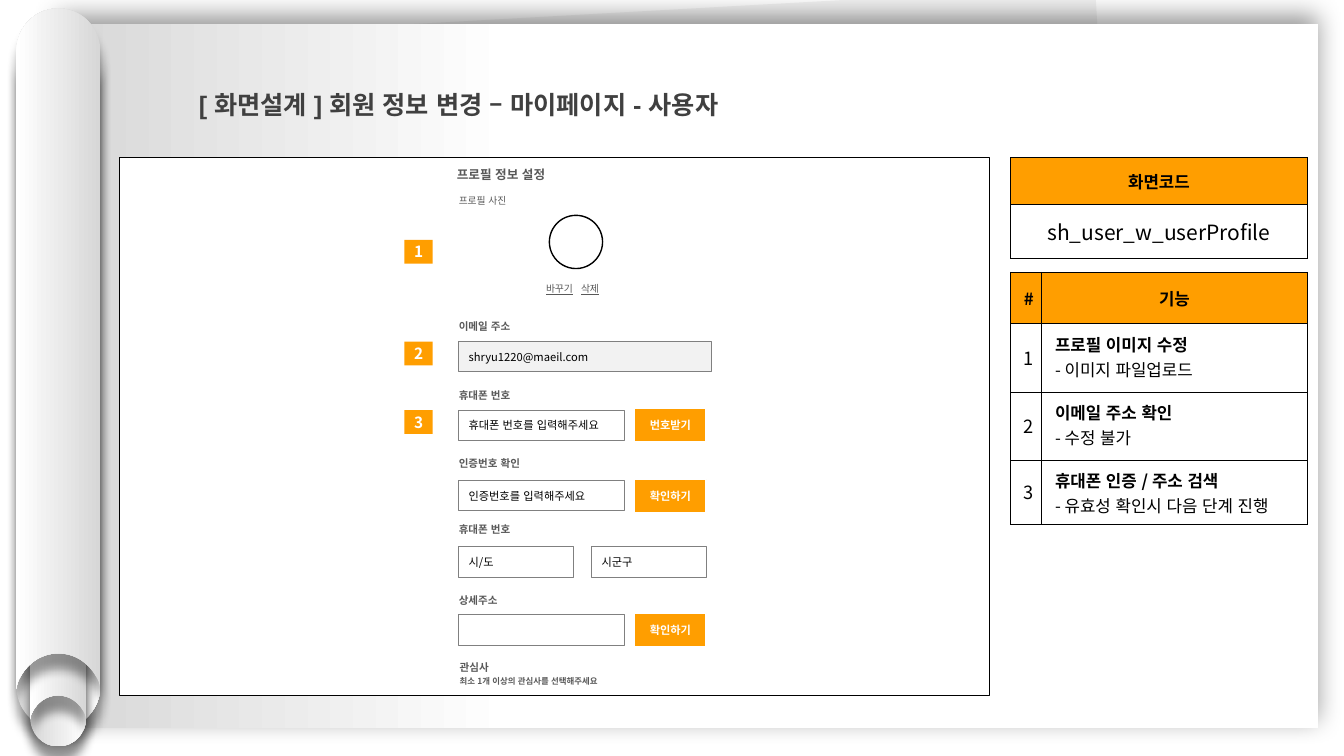
from lxml import etree
from pptx import Presentation
from pptx.dml.color import RGBColor
from pptx.enum.lang import MSO_LANGUAGE_ID
from pptx.enum.shapes import MSO_SHAPE
from pptx.enum.text import MSO_ANCHOR, PP_ALIGN
from pptx.oxml.ns import qn
from pptx.util import Pt

RECT, OVAL = MSO_SHAPE.RECTANGLE, MSO_SHAPE.OVAL
LEFT, CENTER = PP_ALIGN.LEFT, PP_ALIGN.CENTER
TOP, MIDDLE = MSO_ANCHOR.TOP, MSO_ANCHOR.MIDDLE
KOREAN = MSO_LANGUAGE_ID.KOREAN
FONT = "Noto Sans CJK KR"
ORANGE, WHITE, BLACK = "FF9E00", "FFFFFF", "000000"
GRAY, PALE, EDGE, SHADE = "595959", "F2F2F2", "808080", "D7D7D7"


def color(value):
    return RGBColor.from_string(value)


def sub(parent, tag, **attrs):
    return etree.SubElement(parent, qn(tag), {k: str(v) for k, v in attrs.items()})


def style(p, size, ink, bold=False, align=LEFT, font=FONT):
    p.alignment = align
    f = p.font
    f.size, f.bold, f.name = Pt(size), bold, font
    f.color.rgb = color(ink)
    sub(p._p.pPr.find(qn("a:defRPr")), "a:ea", typeface=FONT)
    for r in p.runs:
        r.font.language_id = KOREAN


def add_box(s, x, y, w, h, fill=WHITE, line=None, weight=1, kind=RECT):
    sp = s.shapes.add_shape(kind, Pt(x), Pt(y), Pt(w), Pt(h))
    sp.shadow.inherit = False
    sp.fill.solid()
    sp.fill.fore_color.rgb = color(fill)
    if line:
        sp.line.color.rgb = color(line)
        sp.line.width = Pt(weight)
    else:
        sp.line.fill.background()
    return sp


def write(sp, text, size, ink, bold=False, align=LEFT):
    tf = sp.text_frame
    tf.vertical_anchor = MIDDLE
    p = tf.paragraphs[0]
    p.text = text
    style(p, size, ink, bold, align)


def add_label(s, x, y, text, size=7.5, bold=True, w=62, h=11):
    write(add_box(s, x, y, w, h, WHITE, WHITE), text, size, GRAY, bold)


def add_field(s, x, y, text="", w=118.5, fill=WHITE):
    sp = add_box(s, x, y, w, 21.8, fill, EDGE, 0.5)
    if text:
        write(sp, text, 8, BLACK)


def add_button(s, x, y, text):
    write(add_box(s, x, y, 51, 23.8, ORANGE, WHITE), text, 8, WHITE, True, CENTER)


def shade(sp, first, last, start, blur, dist, angle):
    """Give a shape a right-to-left gradient and a soft outer shadow."""
    sp.line.fill.background()
    sp.fill.gradient()
    sp.fill.gradient_angle = 180
    for stop, value, pos in zip(sp.fill.gradient_stops, (first, last), (start, 1)):
        stop.color.rgb = color(value)
        stop.position = pos
    sp.shadow.inherit = False
    effects = sp._element.spPr.find(qn("a:effectLst"))
    shadow = sub(effects, "a:outerShdw", blurRad=Pt(blur), dist=Pt(dist),
                 dir=angle * 60000, algn="ctr", rotWithShape=0)
    sub(sub(shadow, "a:srgbClr", val=BLACK), "a:alpha", val=40000)


def bend(sp, starts):
    """Turn the three line segments from each start index into one Bezier curve."""
    segments = list(sp._element.iter(qn("a:lnTo")))
    for start in starts:
        curve = etree.Element(qn("a:cubicBezTo"))
        segments[start].addprevious(curve)
        for segment in segments[start:start + 3]:
            curve.append(segment[0])
            segment.getparent().remove(segment)


def add_tube(s, x, y, w, h, rotation=0):
    """Draw a tube with a rounded top and a round notch cut into its foot."""
    points = [(0.5, 0), (0.78, 0), (1, 0.23), (1, 0.52)]
    foot = [(1, 0), (0.98, 0.08), (0.89, 0.29), (0.71, 0.42), (0.5, 0.42)]
    points += [(px, h / w - up) for px, up in foot]
    points += [(1 - px, h / w - up) for px, up in foot[-2::-1]]
    points += [(0, 0.52), (0, 0.23), (0.22, 0), (0.5, 0)]
    points = [(Pt(x + px * w), Pt(y + py * w)) for px, py in points]
    fb = s.shapes.build_freeform(*points[0])
    fb.add_line_segments(points[1:], close=True)
    sp = fb.convert_to_shape()
    bend(sp, (0, 5, 8, 13))
    sp.rotation = rotation
    shade(sp, SHADE, WHITE, 0, 7, 11, 90)


def add_scroll(s, x, y):
    add_box(s, x + 54, y + 4, 731, 490, PALE).rotation = 356.8
    shade(add_box(s, x + 30, y + 11.3, 900, 503), WHITE, SHADE, 0.64, 18, 6, 270)
    add_tube(s, x, y + 28.6, 60.3, 486, 180)
    add_tube(s, x + 10, y + 201.6, 40, 325.5, 180)
    add_tube(s, x + 10, y + 182, 40, 325.5)
    add_tube(s, x, y, 60.3, 486)


def add_title(s, x, y, w, h):
    title = s.shapes.title
    title.left, title.top, title.width, title.height = Pt(x), Pt(y), Pt(w), Pt(h)
    tf = title.text_frame
    tf.word_wrap = True
    tf.vertical_anchor = TOP
    tf.margin_left = tf.margin_right = Pt(5)
    tf.margin_top = tf.margin_bottom = Pt(3)
    p = tf.paragraphs[0]
    p.text = "[ 화면설계 ] 회원 정보 변경 – 마이페이지 - 사용자"
    p.line_spacing = 1.5
    style(p, 18, "404040", True, font="Arial")
    title.element.getparent().append(title.element)


def add_photo_links(s, x, y):
    sp = add_box(s, x, y, 69, 11, WHITE, WHITE)
    tf = sp.text_frame
    tf.vertical_anchor = MIDDLE
    p = tf.paragraphs[0]
    sub(sub(p._p.get_or_add_pPr(), "a:tabLst"), "a:tab", pos=Pt(25), algn="l")
    for text, underline in (("바꾸기", True), ("\t", False), ("삭제", True)):
        r = p.add_run()
        r.text = text
        r.font.underline = underline
    style(p, 7, GRAY)


def add_profile_form(s, x, y, w, h):
    add_box(s, x, y, w, h, WHITE, BLACK, 0.75)
    label, field, button = x + 235.4, x + 242.4, x + 368.2
    add_box(s, x + 307.2, y + 41, 38, 38, WHITE, BLACK, 1, OVAL)
    add_label(s, label, y + 25.2, "프로필 사진", 7, False)
    add_label(s, label - 1.4, y + 6.5, "프로필 정보 설정", 9, w=85)
    add_photo_links(s, x + 297.8, y + 88)
    for dy, text in ((114.5, "이메일 주소"), (164.2, "휴대폰 번호"),
                     (212.5, "인증번호 확인"), (259.7, "휴대폰 번호"),
                     (310.5, "상세주소")):
        add_label(s, label, y + dy, text)
    add_label(s, label + 0.6, y + 360, "관심사", h=8)
    add_label(s, label + 0.6, y + 369.5, "최소 1개 이상의 관심사를 선택해주세요", 6, w=158, h=8)
    add_field(s, field, y + 131, "shryu1220@maeil.com", 180.4, PALE)
    for dy, hint, action in ((180, "휴대폰 번호를 입력해주세요", "번호받기"),
                             (230.3, "인증번호를 입력해주세요", "확인하기"),
                             (326.2, "", "확인하기")):
        add_field(s, field, y + dy, hint)
        add_button(s, button, y + dy - 0.8, action)
    add_field(s, field, y + 277.7, "시/도", 82)
    add_field(s, field + 95, y + 277.7, "시군구", 82)
    for number, dy in enumerate((58.5, 131.2, 180.2), 1):
        badge = add_box(s, x + 203.6, y + dy, 20.3, 17, ORANGE)
        write(badge, str(number), 11, WHITE, True, CENTER)


def format_cell(cell, lines, fill=None, anchor=MIDDLE, align=CENTER, spacing=None):
    """Fill a cell with lines given as (text, size, bold)."""
    tcPr = cell._tc.get_or_add_tcPr()
    for side in "LRTB":
        ln = sub(tcPr, "a:ln" + side, w=Pt(0.75))
        sub(sub(ln, "a:solidFill"), "a:srgbClr", val=BLACK)
    if fill:
        cell.fill.solid()
        cell.fill.fore_color.rgb = color(fill)
    else:
        cell.fill.background()
    cell.vertical_anchor = anchor
    cell.margin_left = cell.margin_right = Pt(9.4)
    cell.margin_top = cell.margin_bottom = Pt(5)
    tf = cell.text_frame
    for i, (text, size, bold) in enumerate(lines):
        p = tf.add_paragraph() if i else tf.paragraphs[0]
        p.text = text
        if spacing:
            p.line_spacing = Pt(spacing)
        style(p, size, BLACK, bold, align)


def add_grid(s, x, y, widths, heights):
    table = s.shapes.add_table(len(heights), len(widths), Pt(x), Pt(y),
                               Pt(sum(widths)), Pt(sum(heights))).table
    table.first_row = table.horz_banding = False
    for column, width in zip(table.columns, widths):
        column.width = Pt(width)
    for row, height in zip(table.rows, heights):
        row.height = Pt(height)
    return table


def add_code_table(s, x, y, w):
    table = add_grid(s, x, y, [w], [33.2, 39])
    format_cell(table.cell(0, 0), [("화면코드", 12, True)], ORANGE)
    format_cell(table.cell(1, 0), [("sh_user_w_userProfile", 15, False)])


def add_feature_table(s, x, y, w):
    features = [("프로필 이미지 수정", "- 이미지 파일업로드"),
                ("이메일 주소 확인", "- 수정 불가"),
                ("휴대폰 인증 / 주소 검색", "- 유효성 확인시 다음 단계 진행")]
    table = add_grid(s, x, y, [22.2, w - 22.2], [36.8, 48.7, 48.7, 46])
    for col, head in enumerate(("#", "기능")):
        format_cell(table.cell(0, col), [(head, 12, True)], ORANGE, spacing=18)
    for row, (name, detail) in enumerate(features, 1):
        format_cell(table.cell(row, 0), [(str(row), 13, False)], spacing=18)
        format_cell(table.cell(row, 1), [(name, 12, True), (detail, 12, False)],
                    anchor=TOP, align=LEFT, spacing=18)


def main():
    prs = Presentation()
    prs.slide_width, prs.slide_height = Pt(960), Pt(540)
    s = prs.slides.add_slide(prs.slide_layouts[5])
    add_scroll(s, 11.5, 6)
    add_code_table(s, 722, 112.8, 211.7)
    add_profile_form(s, 85.2, 112.8, 621.5, 384)
    add_feature_table(s, 722, 194.5, 211.7)
    add_title(s, 137, 50, 519, 38)
    prs.save("out.pptx")


if __name__ == "__main__":
    main()
